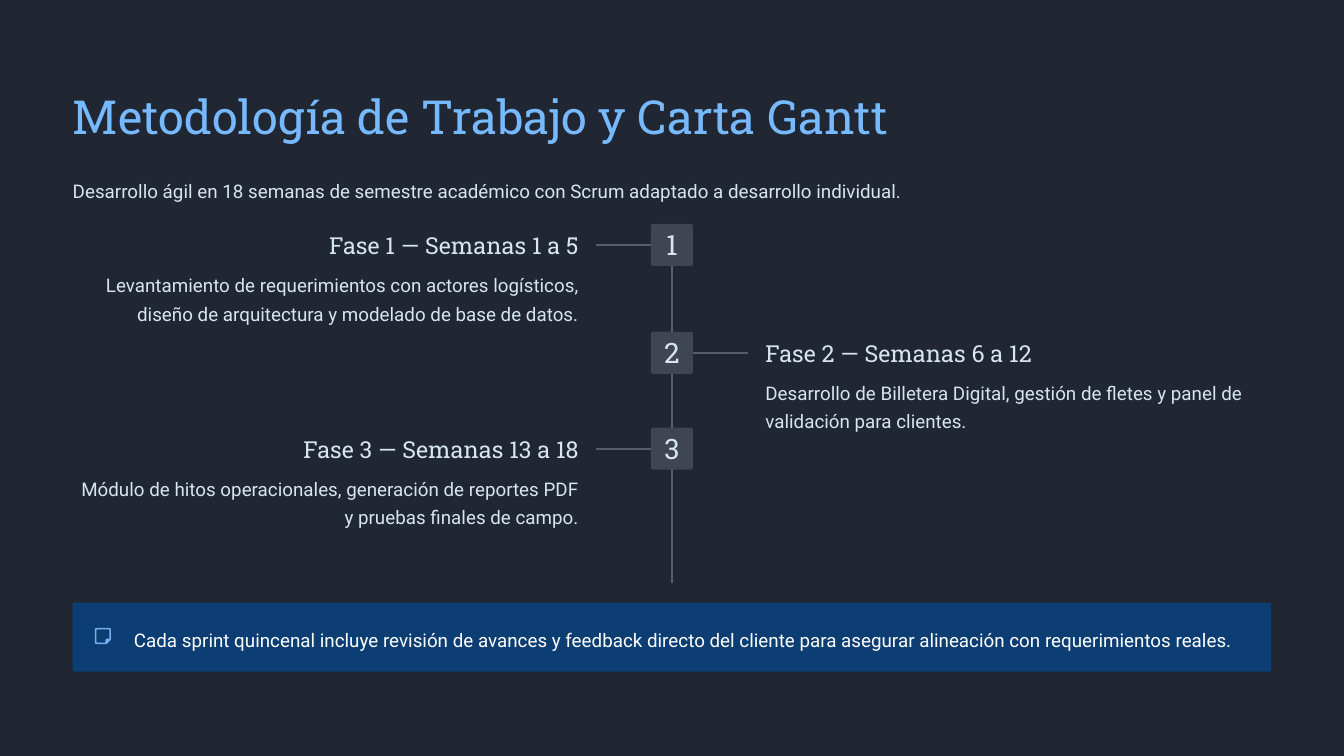
import pptx
import pptx.dml.color
import pptx.enum.shapes
import pptx.enum.text
import pptx.oxml
import pptx.util
from lxml import etree

Pt = pptx.util.Pt
ALIGN = pptx.enum.text.PP_ALIGN
ANCHOR = pptx.enum.text.MSO_ANCHOR
SHAPE = pptx.enum.shapes.MSO_SHAPE

# Content
TITLE = "Metodología de Trabajo y Carta Gantt"
INTRO = ("Desarrollo ágil en 18 semanas de semestre académico con Scrum "
         "adaptado a desarrollo individual.")
PHASES = [  # badge top, side, heading, description
    (160, "left", "Fase 1 — Semanas 1 a 5",
     "Levantamiento de requerimientos con actores logísticos, "
     "diseño de arquitectura y modelado de base de datos."),
    (237, "right", "Fase 2 — Semanas 6 a 12",
     "Desarrollo de Billetera Digital, gestión de fletes y panel de "
     "validación para clientes."),
    (305.5, "left", "Fase 3 — Semanas 13 a 18",
     "Módulo de hitos operacionales, generación de reportes PDF "
     "y pruebas finales de campo."),
]
NOTE = ("Cada sprint quincenal incluye revisión de avances y feedback directo "
        "del cliente para asegurar alineación con requerimientos reales.")
ICON_OUTLINE = [(20, 0), (140, 0), (155, 5), (160, 20), (160, 110), (155, 122),
                (122, 155), (110, 160), (20, 160), (5, 155), (0, 140), (0, 20), (5, 5)]
ICON_HOLE = [(20, 16), (16, 20), (16, 140), (20, 144), (106, 144), (106, 120),
             (110, 110), (120, 106), (144, 106), (144, 20), (140, 16)]

# Theme: type styles are font, size, line spacing, colour
THEME = {
    "background": "202733", "line": "585F6B", "badge": "3F4652",
    "callout": "0D3E73", "icon": "75B1F0",
    "title": ("Roboto Slab", 33.5, 46.9, "76B9FF"),
    "heading": ("Roboto Slab", 16.7, 23.4, "D6E5EF"),
    "number": ("Roboto Slab", 20.1, None, "D6E5EF"),
    "intro": ("Roboto", 13.4, 18.8, "D6E5EF"),
    "body": ("Roboto", 13.4, 20.2, "D6E5EF"),
    "note": ("Roboto", 13.4, 18.8, "FFFFFF"),
}

# Layout
WIDTH, HEIGHT, MARGIN = 960, 540, 52
CENTER = WIDTH / 2
BADGE, BRANCH_REACH, TEXT_REACH, TEXT_WIDTH = 30, 54, 66.7, 358
SPINE_TOP, SPINE_BOTTOM, LINE_WIDTH = 160, 416.7, 1.5
CORNER = 1.5
CALLOUT_TOP, CALLOUT_HEIGHT = 430.5, 49.3

deck = pptx.Presentation()
deck.slide_width, deck.slide_height = Pt(WIDTH), Pt(HEIGHT)
page = deck.slides.add_slide(deck.slide_layouts[6])


def color(name):
    return pptx.dml.color.RGBColor.from_string(THEME.get(name, name))


def paint(shape, name):
    shape.shadow.inherit = False
    shape.fill.solid()
    shape.fill.fore_color.rgb = color(name)
    shape.line.fill.background()


def write(frame, text, style, align=ALIGN.LEFT):
    font, size, spacing, ink = THEME[style]
    frame.margin_left = frame.margin_right = frame.margin_top = frame.margin_bottom = 0
    frame.word_wrap = True
    para = frame.paragraphs[0]
    para.alignment = align
    if spacing:
        para.line_spacing = Pt(spacing)
    span = para.add_run()
    span.text = text
    span.font.name, span.font.size = font, Pt(size)
    span.font.color.rgb = color(ink)


def add_text(left, top, width, text, style, height, align=ALIGN.LEFT):
    box = page.shapes.add_textbox(Pt(left), Pt(top), Pt(width), Pt(height))
    write(box.text_frame, text, style, align)


def add_panel(left, top, width, height, name):
    panel = page.shapes.add_shape(SHAPE.ROUNDED_RECTANGLE, Pt(left), Pt(top),
                                  Pt(width), Pt(height))
    panel.adjustments[0] = CORNER / min(width, height)
    paint(panel, name)
    return panel


def add_line(x1, y1, x2, y2):
    line = page.shapes.add_connector(pptx.enum.shapes.MSO_CONNECTOR.STRAIGHT,
                                     Pt(x1), Pt(y1), Pt(x2), Pt(y2))
    line.line.color.rgb = color("line")
    line.line.width = Pt(LINE_WIDTH)
    etree.SubElement(line._element.spPr, pptx.oxml.ns.qn("a:effectLst"))


# Background, title and introduction
page.background.fill.solid()
page.background.fill.fore_color.rgb = color("background")
add_text(MARGIN, 56.2, 620, TITLE, "title", 45)
add_text(MARGIN, 126, 640, INTRO, "intro", 18)

# Timeline
add_line(CENTER, SPINE_TOP, CENTER, SPINE_BOTTOM)
for number, (top, side, heading, description) in enumerate(PHASES, 1):
    sign = -1 if side == "left" else 1
    middle = top + BADGE / 2
    add_line(CENTER + sign * BADGE / 2, middle, CENTER + sign * BRANCH_REACH, middle)
    badge = add_panel(CENTER - BADGE / 2, top, BADGE, BADGE, "badge")
    write(badge.text_frame, str(number), "number", ALIGN.CENTER)
    badge.text_frame.vertical_anchor = ANCHOR.MIDDLE
    badge.text_frame.margin_bottom = Pt(1)

    text_left = CENTER + TEXT_REACH
    align = ALIGN.LEFT
    if side == "left":
        text_left = CENTER - TEXT_REACH - TEXT_WIDTH
        align = ALIGN.RIGHT
    add_text(text_left, top + 2, TEXT_WIDTH, heading, "heading", 23, align)
    add_text(text_left, top + 31.7, TEXT_WIDTH, description, "body", 40.4, align)

# Callout with its note icon
add_panel(MARGIN, CALLOUT_TOP, WIDTH - 2 * MARGIN, CALLOUT_HEIGHT, "callout")
builder = page.shapes.build_freeform(*ICON_OUTLINE[0], scale=Pt(11.6) / 160)
builder.add_line_segments(ICON_OUTLINE[1:], close=True)
builder.move_to(*ICON_HOLE[0])
builder.add_line_segments(ICON_HOLE[1:], close=True)
paint(builder.convert_to_shape(Pt(67.7), Pt(448.5)), "icon")
add_text(95.7, 446.4, 800, NOTE, "note", 18)

deck.save("out.pptx")
